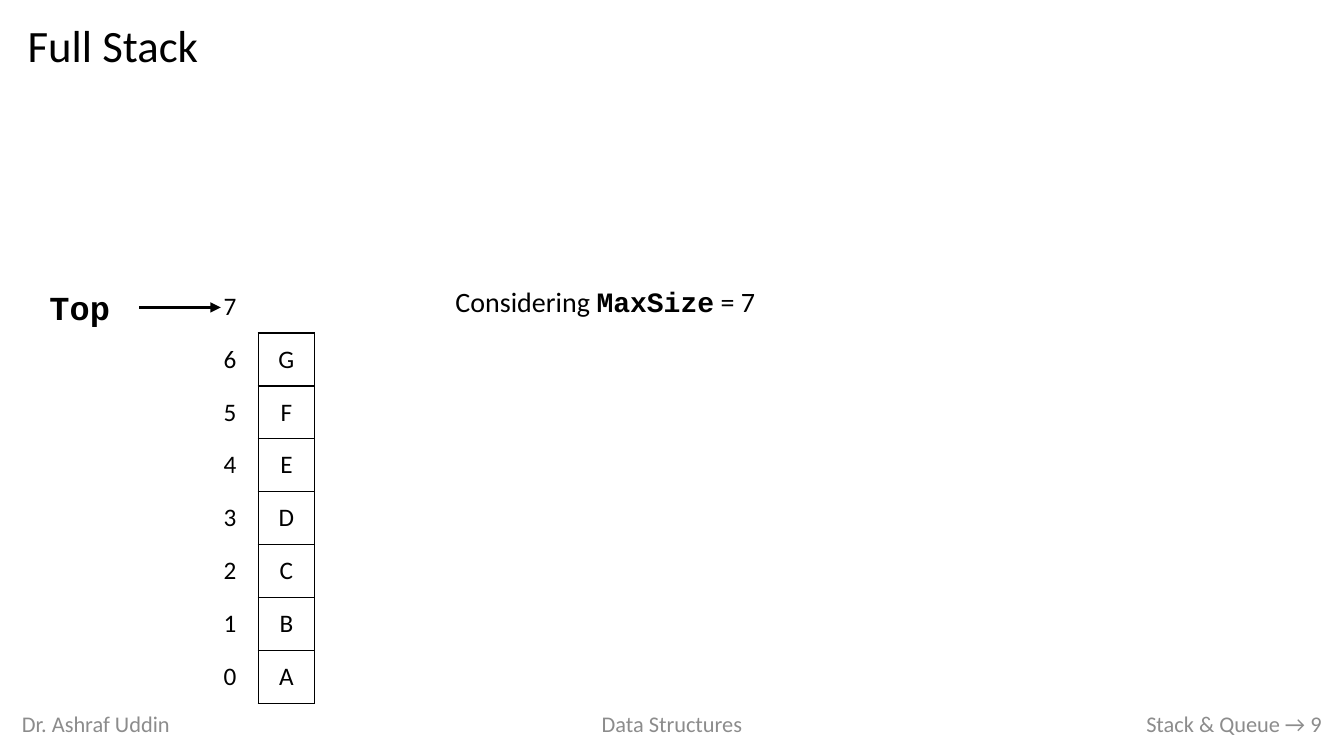
from lxml import etree
from pptx import Presentation
from pptx.dml.color import RGBColor
from pptx.enum.shapes import MSO_CONNECTOR, MSO_SHAPE
from pptx.enum.text import MSO_ANCHOR, PP_ALIGN
from pptx.oxml.ns import qn
from pptx.util import Pt

LEFT, CENTER, RIGHT = PP_ALIGN.LEFT, PP_ALIGN.CENTER, PP_ALIGN.RIGHT
TOP, MIDDLE = MSO_ANCHOR.TOP, MSO_ANCHOR.MIDDLE
RECTANGLE, STRAIGHT = MSO_SHAPE.RECTANGLE, MSO_CONNECTOR.STRAIGHT
COLORS = {"ink": "000000", "footer": "8C8C8C", "paper": "FFFFFF"}
SANS, MONO = "Calibri", "Courier New"


def add_run(paragraph, text, size, font=SANS, color="ink", bold=False):
    run = paragraph.add_run()
    run.text = text
    run.font.size = Pt(size)
    run.font.name = font
    run.font.bold = bold
    run.font.color.rgb = RGBColor.from_string(COLORS[color])


def add_label(left, top, width, height, align, anchor):
    frame = slide.shapes.add_textbox(Pt(left), Pt(top), Pt(width), Pt(height)).text_frame
    frame.word_wrap = True
    frame.vertical_anchor = anchor
    frame.paragraphs[0].alignment = align
    return frame.paragraphs[0]


prs = Presentation()
prs.slide_width, prs.slide_height = Pt(960), Pt(540)
slide = prs.slides.add_slide(prs.slide_layouts[5])

title = slide.shapes.title
title.left, title.top, title.width, title.height = Pt(12.5), Pt(13.7), Pt(935), Pt(46)
title.text_frame.vertical_anchor = TOP
heading = title.text_frame.paragraphs[0]
heading.alignment = LEFT
heading.line_spacing = 0.9
add_run(heading, "Full Stack", 32)

footers = [
    ("Dr. Ashraf Uddin", 8.6, 216, LEFT),
    ("Data Structures", 318, 324, CENTER),
    ("Stack & Queue → 9", 678.2, 273, RIGHT),
]
for text, left, width, align in footers:
    add_run(add_label(left, 502.6, width, 29, align, MIDDLE), text, 16, color="footer")

items = ["", "G", "F", "E", "D", "C", "B", "A"]
cell_width, cell_height = 40.4, 37.8
stack = slide.shapes.add_table(
    len(items), 2, Pt(144), Pt(200.1), Pt(2 * cell_width), Pt(len(items) * cell_height)
).table
stack.first_row = False
stack.horz_banding = False
for column in stack.columns:
    column.width = Pt(cell_width)
for row, item in enumerate(items):
    stack.rows[row].height = Pt(cell_height)
    index = str(len(items) - 1 - row)
    for cell, text in zip(stack.rows[row].cells, (index, item)):
        cell.vertical_anchor = MIDDLE
        cell.margin_left = cell.margin_right = Pt(4)
        paragraph = cell.text_frame.paragraphs[0]
        paragraph.alignment = CENTER
        if text:
            add_run(paragraph, text, 18)
        if text == item and item:
            for side in ("a:lnL", "a:lnR", "a:lnT", "a:lnB"):
                border = etree.SubElement(cell._tc.get_or_add_tcPr(), qn(side), w=str(Pt(1)))
                fill = etree.SubElement(border, qn("a:solidFill"))
                etree.SubElement(fill, qn("a:srgbClr"), val=COLORS["ink"])
        cell.fill.background()

top_label = slide.shapes.add_shape(RECTANGLE, Pt(14.4), Pt(203.8), Pt(85), Pt(31))
top_label.shadow.inherit = False
top_label.fill.solid()
top_label.fill.fore_color.rgb = RGBColor.from_string(COLORS["paper"])
top_label.line.fill.background()
top_label.text_frame.vertical_anchor = MIDDLE
top_label.text_frame.paragraphs[0].alignment = CENTER
add_run(top_label.text_frame.paragraphs[0], "Top", 24, MONO, bold=True)

top_arrow = slide.shapes.add_connector(STRAIGHT, Pt(99.4), Pt(219.6), Pt(157.7), Pt(219.6))
top_arrow.line.width = Pt(2.5)
top_arrow.line.color.rgb = RGBColor.from_string(COLORS["ink"])
etree.SubElement(top_arrow.line._get_or_add_ln(), qn("a:tailEnd"), type="triangle")
etree.SubElement(top_arrow._element.spPr, qn("a:effectLst"))

max_size = add_label(318.2, 199.4, 255.6, 31.5, LEFT, TOP)
add_run(max_size, "Considering ", 20)
add_run(max_size, "MaxSize", 20, MONO, bold=True)
add_run(max_size, " = 7", 20)

prs.save("out.pptx")
